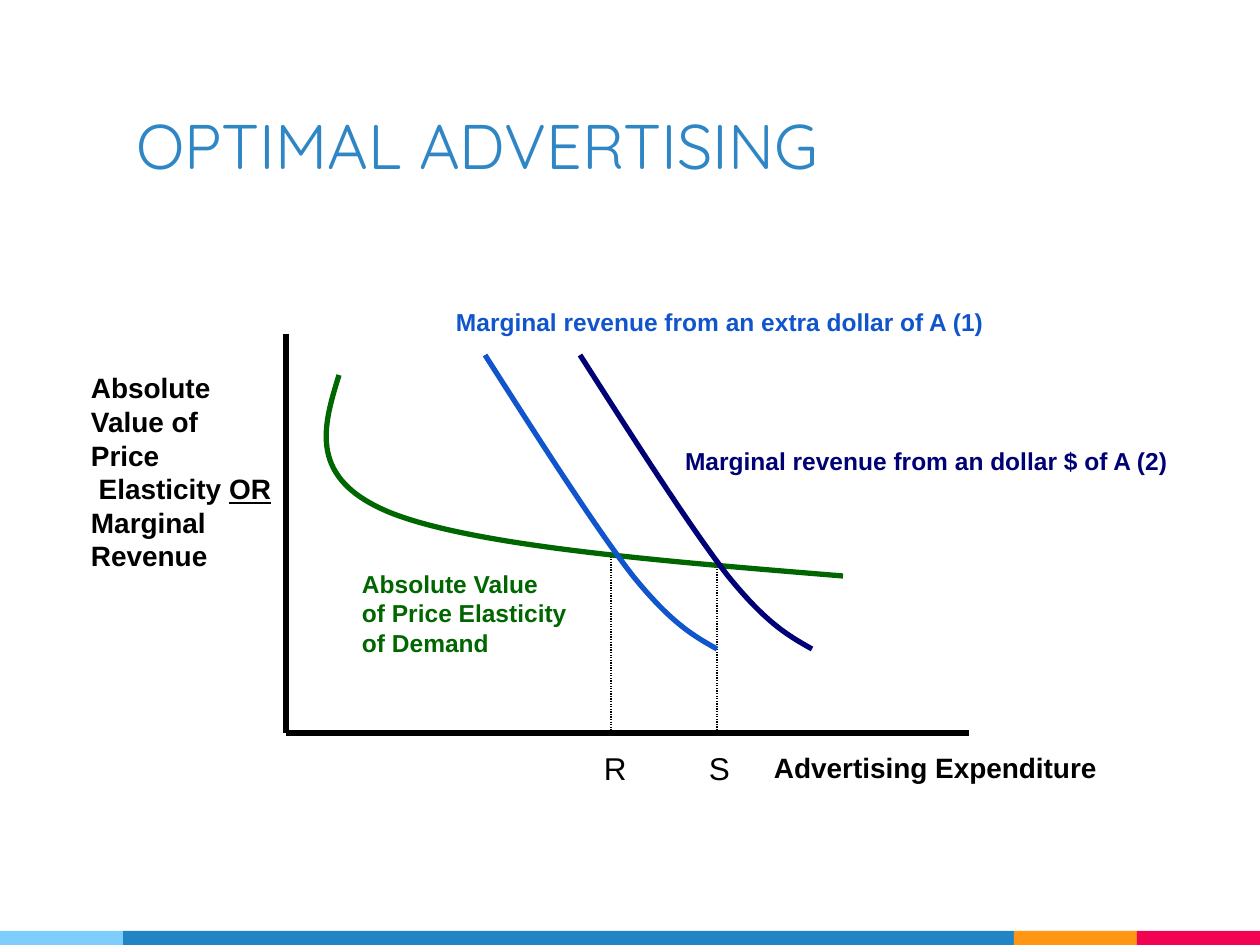
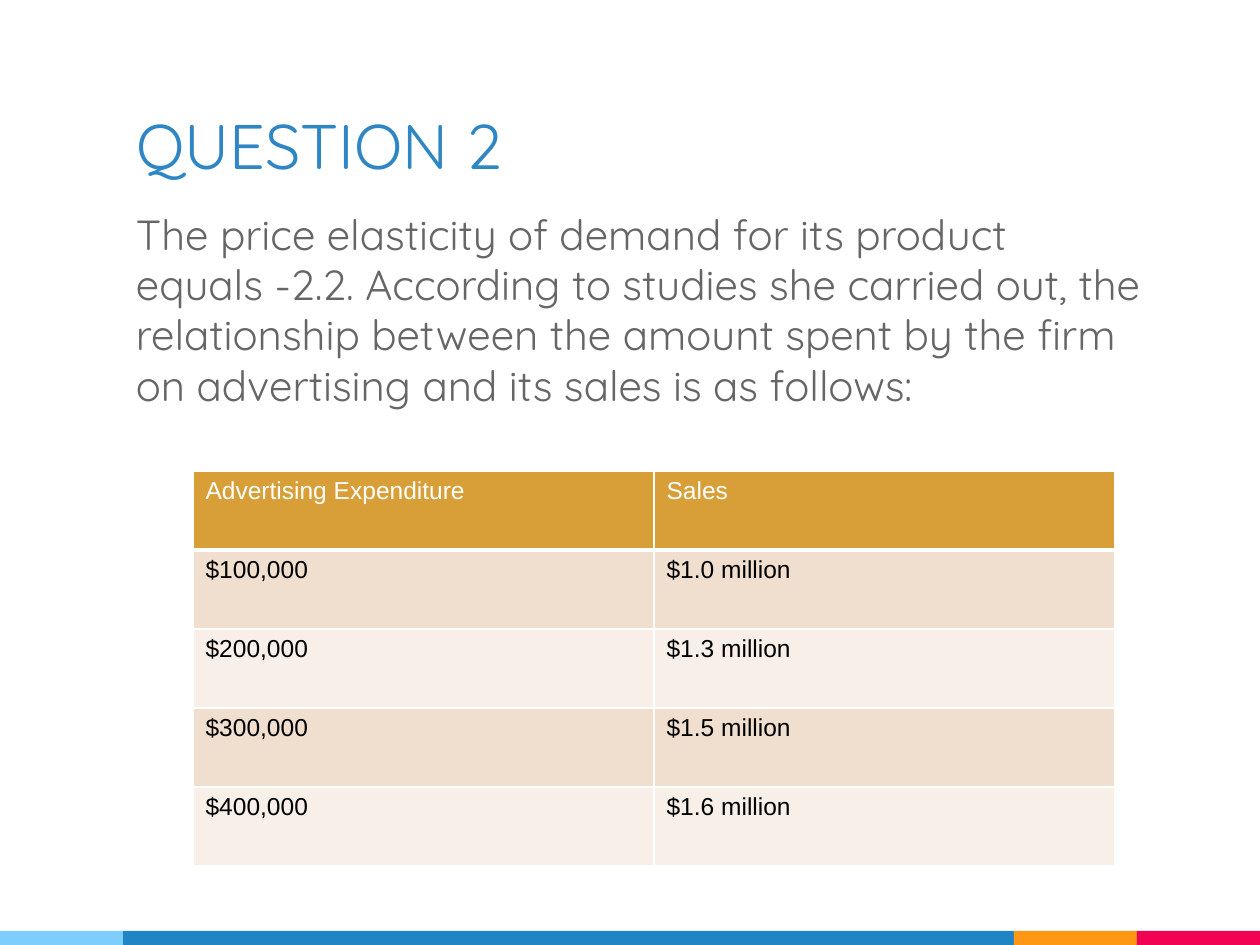
import pptx
import pptx.dml.color
import pptx.enum.dml
import pptx.enum.shapes
import pptx.enum.text
import pptx.oxml.ns
import pptx.oxml.xmlchemy
import pptx.util

RGBColor = pptx.dml.color.RGBColor
MSO_ANCHOR = pptx.enum.text.MSO_ANCHOR
OxmlElement = pptx.oxml.xmlchemy.OxmlElement
qn = pptx.oxml.ns.qn

PX = pptx.util.Inches(1) / 126  # 126 px to the inch
W, H = 1260, 945

SKY = RGBColor(0x7E, 0xCE, 0xFD)
BLUE = RGBColor(0x21, 0x85, 0xC5)
ORANGE = RGBColor(0xFF, 0x97, 0x15)
RED = RGBColor(0xF2, 0x02, 0x53)
TITLE_BLUE = RGBColor(0x2F, 0x86, 0xC5)
GREY = RGBColor(0x66, 0x66, 0x66)
BLACK = RGBColor(0x00, 0x00, 0x00)
WHITE = RGBColor(0xFF, 0xFF, 0xFF)
GREEN = RGBColor(0x00, 0x66, 0x00)
MID_BLUE = RGBColor(0x11, 0x55, 0xCC)
NAVY = RGBColor(0x00, 0x00, 0x76)
GOLD = RGBColor(0xD8, 0x9F, 0x39)
SAND = RGBColor(0xF0, 0xDF, 0xCE)
CREAM = RGBColor(0xF8, 0xF0, 0xE8)

HEAD_FONT, TEXT_FONT = "Quicksand", "Arial"
BANDS = [(SKY, 123), (BLUE, 891), (ORANGE, 123), (RED, 123)]


def emu(*px):
    return [round(v * PX) for v in px]


def add_text(slide, box, text, size, color, font=TEXT_FONT, bold=False,
             anchor=MSO_ANCHOR.TOP, pad=6, wrap=True):
    tf = slide.shapes.add_textbox(*emu(*box)).text_frame
    tf.word_wrap = wrap
    tf.vertical_anchor = anchor
    tf.margin_left, tf.margin_right, tf.margin_top, tf.margin_bottom = emu(13, 13, pad, pad)
    p = tf.paragraphs[0]
    p.font.size = pptx.util.Pt(size)
    # Pieces: plain string, "\n" for a line break, (string, True) for underlined
    for piece in [text] if isinstance(text, str) else text:
        if piece == "\n":
            p.add_line_break()
            continue
        words, underline = (piece, None) if isinstance(piece, str) else piece
        r = p.add_run()
        r.text = words
        r.font.name, r.font.size = font, pptx.util.Pt(size)
        r.font.bold, r.font.underline = bold, underline
        r.font.color.rgb = color


prs = pptx.Presentation()
prs.slide_width, prs.slide_height = emu(W, H)

# Shared frame: footer bands and title
slides = []
for title in ["OPTIMAL ADVERTISING", "QUESTION 2"]:
    s = prs.slides.add_slide(prs.slide_layouts[6])
    left = 0
    for color, width in BANDS:
        sp = s.shapes.add_shape(pptx.enum.shapes.MSO_SHAPE.RECTANGLE,
                                *emu(left, H - 14, width, 14))
        sp.shadow.inherit = False
        sp.fill.solid()
        sp.fill.fore_color.rgb = color
        sp.line.fill.background()
        left += width
    add_text(s, (123, 38, 891, 157), title, 36, TITLE_BLUE, HEAD_FONT,
             anchor=MSO_ANCHOR.BOTTOM, pad=13)
    slides.append(s)
chart_slide, question_slide = slides

# Slide 1: axes and dotted drop lines
X0, Y0 = 286, 733
R_X, S_X = 611, 717
for x1, y1, x2, y2, dotted in [
    (X0, 334, X0, Y0, False),
    (X0, Y0, 969, Y0, False),
    (R_X, 554, R_X, Y0, True),
    (S_X, 564, S_X, Y0, True),
]:
    cn = chart_slide.shapes.add_connector(pptx.enum.shapes.MSO_CONNECTOR.STRAIGHT,
                                          *emu(x1, y1, x2, y2))
    cn.line.color.rgb = BLACK
    cn.line.width = pptx.util.Pt(0.75 if dotted else 3)
    if dotted:
        cn.line.dash_style = pptx.enum.dml.MSO_LINE.ROUND_DOT
    cn._element.spPr.append(OxmlElement("a:effectLst"))

# Curves: a start point, then three Bezier points for each segment
elasticity = [(339, 375), (323, 427), (307, 479), (391, 513),
              (475, 546), (659, 561), (843, 576)]
revenue_1 = [(485, 355), (540, 441), (595, 527), (633, 576),
             (672, 624), (694, 636), (717, 649)]
revenue_2 = [(x + 95, y) for x, y in revenue_1]
for points, color in [(elasticity, GREEN), (revenue_1, MID_BLUE), (revenue_2, NAVY)]:
    fb = chart_slide.shapes.build_freeform(*points[0], scale=PX)
    fb.add_line_segments(points[1:], close=False)
    sp = fb.convert_to_shape()
    sp.shadow.inherit = False
    sp.fill.background()
    sp.line.color.rgb = color
    sp.line.width = pptx.util.Pt(3)
    steps = list(sp._element.iter(qn("a:lnTo")))
    for i in range(0, len(steps), 3):
        bezier = OxmlElement("a:cubicBezTo")
        steps[i].addprevious(bezier)
        for step in steps[i:i + 3]:
            bezier.append(step[0])
            step.getparent().remove(step)

# Labels of curves and axes
for box, text, size, color, bold, wrap in [
    ((349, 563, 231, 102), "Absolute Value of Price Elasticity of Demand", 14, GREEN, True, True),
    ((443, 301, 557, 42), "Marginal revenue from an extra dollar of A (1)", 14, MID_BLUE, True, True),
    ((672, 440, 510, 81), "Marginal revenue from an dollar $ of A (2)", 14, NAVY, True, False),
    ((591, 743, 53, 50), "R", 18, BLACK, False, True),
    ((696, 743, 42, 50), "S", 18, BLACK, False, True),
    ((761, 745, 365, 47), "Advertising Expenditure", 16, BLACK, True, True),
    ((78, 365, 209, 217),
     ["Absolute Value of Price", "\n", " Elasticity ", ("OR", True), " Marginal Revenue"],
     16, BLACK, True, True),
]:
    add_text(chart_slide, box, text, size, color, bold=bold, wrap=wrap)

# Slide 2: question
add_text(question_slide, (123, 195, 1031, 709),
         "The price elasticity of demand for its product equals -2.2. According to "
         "studies she carried out, the relationship between the amount spent by the "
         "firm on advertising and its sales is as follows:",
         24, GREY, HEAD_FONT, pad=13)

# Table of spending and sales
rows = [("Advertising Expenditure", "Sales"),
        ("$100,000", "$1.0 million"),
        ("$200,000", "$1.3 million"),
        ("$300,000", "$1.5 million"),
        ("$400,000", "$1.6 million")]
table = question_slide.shapes.add_table(len(rows), 2, *emu(193, 471, 922, 395)).table
for i, row in enumerate(rows):
    for j, text in enumerate(row):
        cell = table.cell(i, j)
        r = cell.text_frame.paragraphs[0].add_run()
        r.text = text
        r.font.name, r.font.size, r.font.bold = TEXT_FONT, pptx.util.Pt(14), False
        r.font.color.rgb = BLACK if i else WHITE
        tcPr = cell._tc.get_or_add_tcPr()
        for side in ("L", "R", "T", "B"):
            points = 3 if i == 0 and side == "B" else 1
            ln = OxmlElement(f"a:ln{side}")
            ln.set("w", str(pptx.util.Pt(points)))
            fill = OxmlElement("a:solidFill")
            clr = OxmlElement("a:srgbClr")
            clr.set("val", str(WHITE))
            fill.append(clr)
            ln.append(fill)
            tcPr.append(ln)
        cell.fill.solid()
        cell.fill.fore_color.rgb = GOLD if i == 0 else SAND if i % 2 else CREAM

prs.save("out.pptx")
